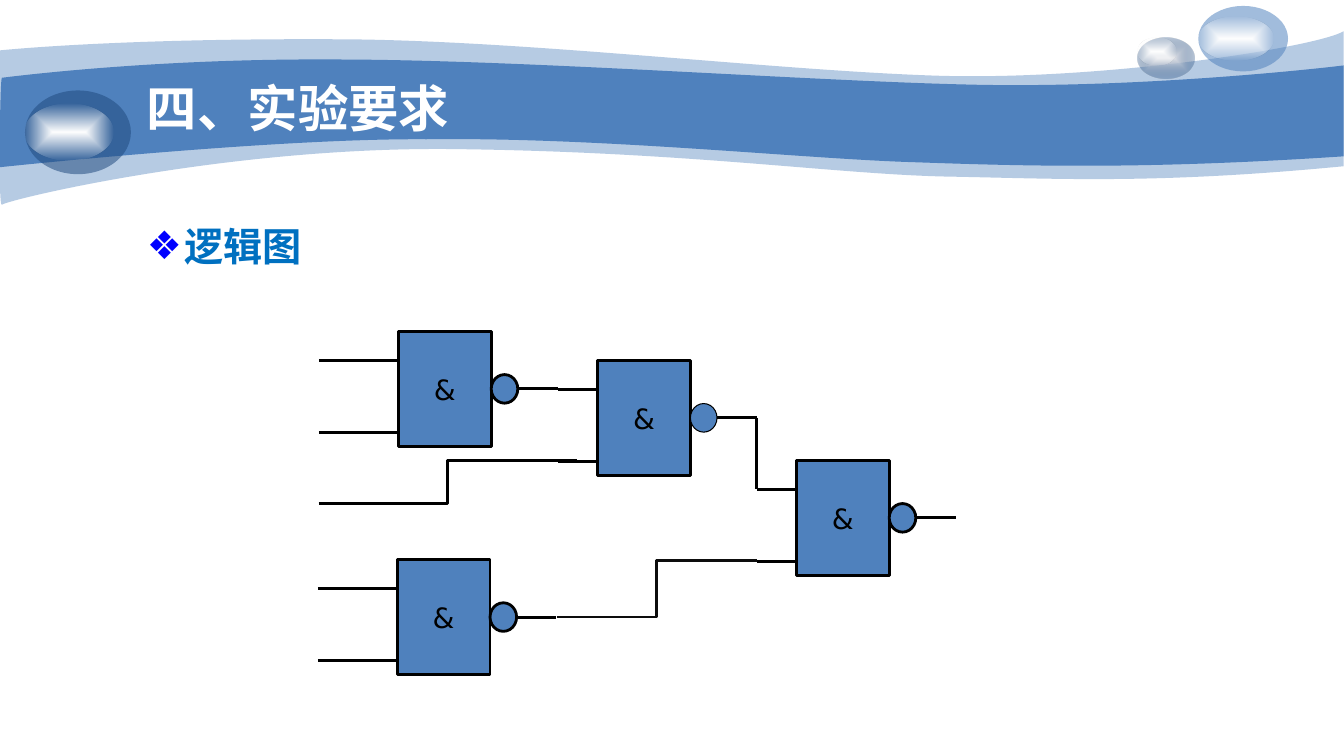
import pptx
import pptx.util
import pptx.dml.color
import pptx.enum.shapes
import pptx.enum.text
import pptx.oxml.ns
from lxml import etree

Cm, Pt = pptx.util.Cm, pptx.util.Pt
RGBColor = pptx.dml.color.RGBColor
Shape = pptx.enum.shapes.MSO_SHAPE
Connector = pptx.enum.shapes.MSO_CONNECTOR
Anchor = pptx.enum.text.MSO_ANCHOR
Align = pptx.enum.text.PP_ALIGN
qn = pptx.oxml.ns.qn

BLUE = RGBColor(0x4F, 0x81, 0xBD)
NAVY = RGBColor(0x1F, 0x49, 0x7D)
SILVER = RGBColor(0xE1, 0xE2, 0xE7)
WHITE = RGBColor(0xFF, 0xFF, 0xFF)
BLACK = RGBColor(0x00, 0x00, 0x00)
INK = RGBColor(0x0D, 0x0D, 0x0D)
HEADING = RGBColor(0x00, 0x70, 0xC0)
BULLET = RGBColor(0x00, 0x00, 0xFF)

TITLE_FONT = {"name": "Times New Roman", "size": Pt(36), "bold": True}
BODY_FONT = {"name": "Times New Roman", "size": Pt(28), "bold": True}
GATE_FONT = {"name": "DejaVu Sans", "size": Pt(20)}

# Each step is one corner point, or two control points and an end point, in cm.
PALE_WAVE = [
    [(0, 1.27)],
    [(0.81, 1.19), (3.63, 0.97), (8.36, 0.99)],
    [(13.06, 0.99), (19.48, 1.78), (23.67, 1.91)],
    [(27.84, 2.03), (33.17, 1.19), (33.86, 0.79)],
    [(33.86, 4.19)],
    [(29.06, 4.65), (26.67, 4.5), (23.85, 4.45)],
    [(21.06, 4.39), (17.45, 3.84), (11.63, 3.76)],
    [(5.82, 3.66), (0.13, 5.05), (0.05, 5.16)],
    [(-0.05, 5.28), (0, 1.91), (0, 1.27)],
]
BLUE_WAVE = [
    [(0.05, 1.96)],
    [(0.08, 1.96), (3.71, 1.47), (8.41, 1.5)],
    [(13.08, 1.5), (20.17, 2.03), (24.33, 2.13)],
    [(28.5, 2.24), (33.05, 1.75), (33.86, 1.65)],
    [(33.86, 3.94)],
    [(28.88, 4.27), (25.93, 4.19), (23.09, 4.09)],
    [(20.29, 4.01), (15.14, 3.45), (10.74, 3.51)],
    [(6.88, 3.48), (-0.08, 4.22), (-0.05, 4.22)],
    [(0, 4.22), (0, 1.96), (0.05, 1.96)],
]

GATE_WIDTH, GATE_HEIGHT = 2.34, 2.9
BUBBLE_WIDTH, BUBBLE_HEIGHT = 0.67, 0.72
LEAD = 1
PINS = (0.73, 2.54)


def set_opacity(color_element, percent):
    etree.SubElement(color_element, qn("a:alpha"), val=str(percent * 1000))


class SlideBuilder:
    def __init__(self, page):
        self.page = page
        self.shapes = page.shapes

    def format_text(self, para, values, color):
        for name, value in values.items():
            setattr(para.font, name, value)
        para.font.color.rgb = color

    def placeholder(self, box, text, place, anchor):
        # Bring the placeholder in front of the decoration.
        self.shapes.element.append(box.element)
        for name, length in zip(("left", "top", "width", "height"), place):
            setattr(box, name, Cm(length))
        frame = box.text_frame
        frame.text = text
        frame.auto_size = pptx.enum.text.MSO_AUTO_SIZE.NONE
        frame.vertical_anchor = anchor
        para = frame.paragraphs[0]
        para.alignment = Align.LEFT
        para.space_before = Pt(0)
        return para

    def title(self, text, place):
        para = self.placeholder(self.shapes.title, text, place, Anchor.MIDDLE)
        self.format_text(para, TITLE_FONT, WHITE)

    def bullet_list(self, text, place):
        para = self.placeholder(self.page.placeholders[1], text, place, Anchor.TOP)
        properties = para._p.get_or_add_pPr()
        properties.set("marL", str(Cm(0.95)))
        properties.set("indent", str(-Cm(0.95)))
        tint = etree.SubElement(properties, qn("a:buClr"))
        etree.SubElement(tint, qn("a:srgbClr"), val=str(BULLET))
        etree.SubElement(properties, qn("a:buChar"), char="❖")
        self.format_text(para, BODY_FONT, HEADING)

    def paint(self, shape, color, opacity=100):
        """Give a flat fill without outline."""
        shape.shadow.inherit = False
        shape.fill.solid()
        shape.fill.fore_color.rgb = color
        shape.line.fill.background()
        if opacity < 100:
            set_opacity(shape.element.spPr.find(".//" + qn("a:srgbClr")), opacity)

    def wave(self, steps, opacity=100):
        points = [(Cm(x), Cm(y)) for step in steps for x, y in step]
        builder = self.shapes.build_freeform(*points[0])
        builder.add_line_segments(points[1:], close=True)
        shape = builder.convert_to_shape()
        # Join each run of three segments into one cubic curve.
        segments = iter(list(shape.element.spPr.iter(qn("a:lnTo"))))
        for step in steps[1:]:
            first, *others = [next(segments) for _ in step]
            if others:
                first.addprevious(curve := etree.Element(qn("a:cubicBezTo")))
                for segment in (first, *others):
                    curve.append(segment[0])
                    segment.getparent().remove(segment)
        self.paint(shape, BLUE, opacity)

    def preset(self, kind, place):
        return self.shapes.add_shape(kind, *(Cm(length) for length in place))

    def disc(self, place, color, opacity):
        self.paint(self.preset(Shape.OVAL, place), color, opacity)

    def glow(self, place, center, edge, edge_opacity):
        """Add an ellipse that fades from its center to its edge."""
        shape = self.preset(Shape.OVAL, place)
        shape.shadow.inherit = False
        shape.line.fill.background()
        shape.fill.gradient()
        for stop, color, position in zip(shape.fill.gradient_stops, (center, edge), (0, 1)):
            stop.color.rgb = color
            stop.position = position
        gradient = shape.element.spPr.find(qn("a:gradFill"))
        set_opacity(gradient.findall(".//" + qn("a:srgbClr"))[1], edge_opacity)
        gradient.remove(gradient.find(qn("a:lin")))
        shading = etree.SubElement(gradient, qn("a:path"), path="shape")
        etree.SubElement(shading, qn("a:fillToRect"), l="50000", t="50000", r="50000", b="50000")

    def wire(self, start, end, kind=Connector.STRAIGHT, color=BLACK):
        line = self.shapes.add_connector(kind, *(Cm(length) for length in (*start, *end)))
        line.line.color.rgb = color
        line.line.width = Pt(2)
        etree.SubElement(line.element.spPr, qn("a:effectLst"))

    def gate(self, left, top, input_leads, border=2, bubble_border=2):
        """Add a NAND gate; input_leads counts the wire pieces before each pin."""
        right, middle = left + GATE_WIDTH, top + GATE_HEIGHT / 2
        bubble_place = (right, middle - BUBBLE_HEIGHT / 2, BUBBLE_WIDTH, BUBBLE_HEIGHT)
        body = self.preset(Shape.RECTANGLE, (left, top, GATE_WIDTH, GATE_HEIGHT))
        bubble = self.preset(Shape.OVAL, bubble_place)
        for shape, width in ((body, border), (bubble, bubble_border)):
            self.paint(shape, BLUE)
            shape.line.color.rgb = BLACK
            shape.line.width = Pt(width)
        frame = body.text_frame
        frame.text = "&"
        frame.word_wrap = False
        frame.vertical_anchor = Anchor.MIDDLE
        frame.paragraphs[0].alignment = Align.CENTER
        self.format_text(frame.paragraphs[0], GATE_FONT, BLACK)
        for pin in PINS:
            for piece in range(input_leads):
                end = left - piece * LEAD
                self.wire((end - LEAD, top + pin), (end, top + pin))
        start = right + BUBBLE_WIDTH
        self.wire((start, middle), (start + LEAD, middle))


def main():
    deck = pptx.Presentation()
    deck.slide_width, deck.slide_height = Cm(33.87), Cm(19.05)
    builder = SlideBuilder(deck.slides.add_slide(deck.slide_layouts[1]))

    builder.wave(PALE_WAVE, 41)
    builder.wave(BLUE_WAVE)
    builder.glow((28.67, 0.96, 1.43, 1.02), SILVER, NAVY, 31)
    builder.glow((28.67, 0.96, 0.97, 0.69), WHITE, WHITE, 0)
    builder.disc((30.2, 0.15, 2.26, 1.65), BLUE, 53)
    builder.glow((30.2, 0.43, 1.88, 1.09), WHITE, WHITE, 0)
    builder.disc((0.63, 2.28, 2.67, 2.11), NAVY, 53)
    builder.glow((0.63, 2.62, 2.24, 1.42), WHITE, WHITE, 0)

    builder.title("四、实验要求", (3.45, 1.93, 11.43, 1.57))
    builder.bullet_list("逻辑图", (3.45, 5.47, 27.51, 1.63))

    builder.gate(10.01, 14.1, input_leads=2)
    builder.gate(10.04, 8.35, input_leads=2)
    builder.gate(15.06, 9.08, input_leads=1, border=2.25, bubble_border=0.75)
    builder.gate(20.07, 11.6, input_leads=1)
    builder.wire((8.03, 12.69), (14.53, 11.61), Connector.ELBOW)
    builder.wire((19.06, 10.53), (19.06, 12.33), Connector.ELBOW)
    builder.wire((14.03, 15.55), (19.07, 14.13), Connector.ELBOW, INK)

    deck.save("out.pptx")


if __name__ == "__main__":
    main()
